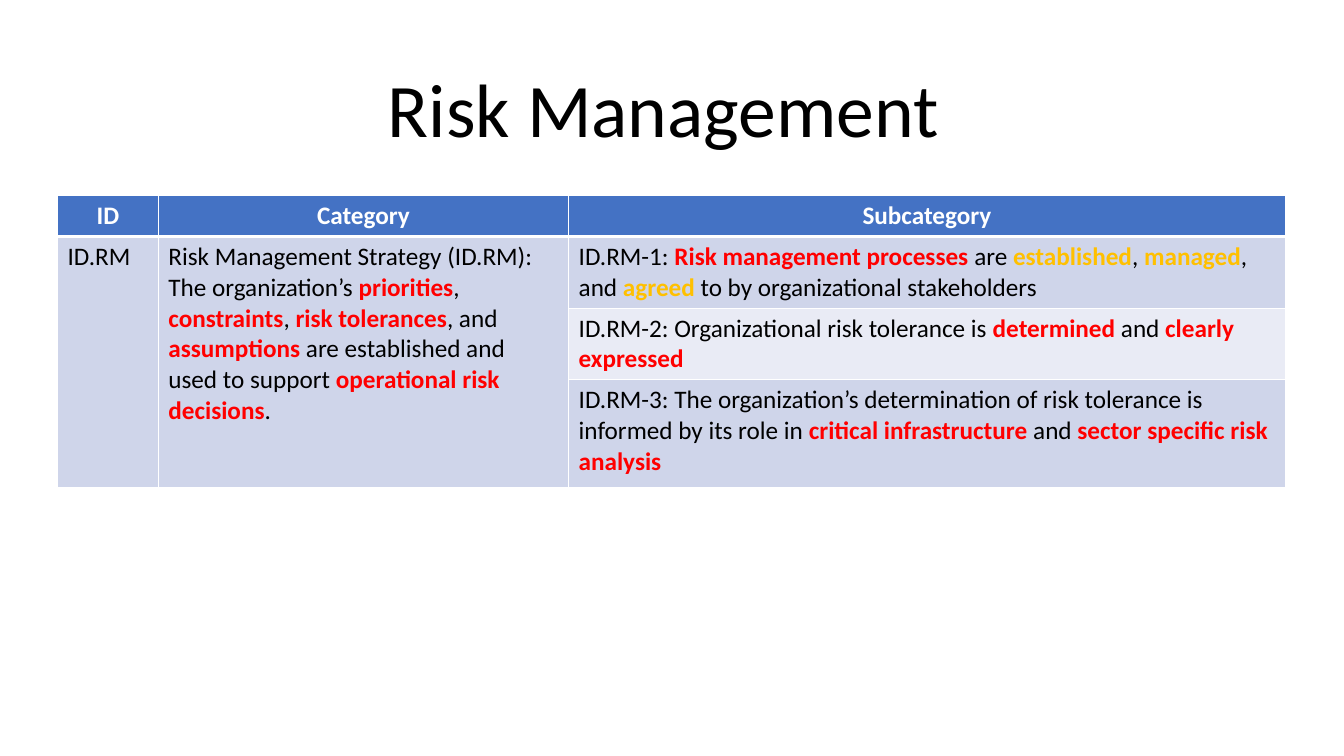
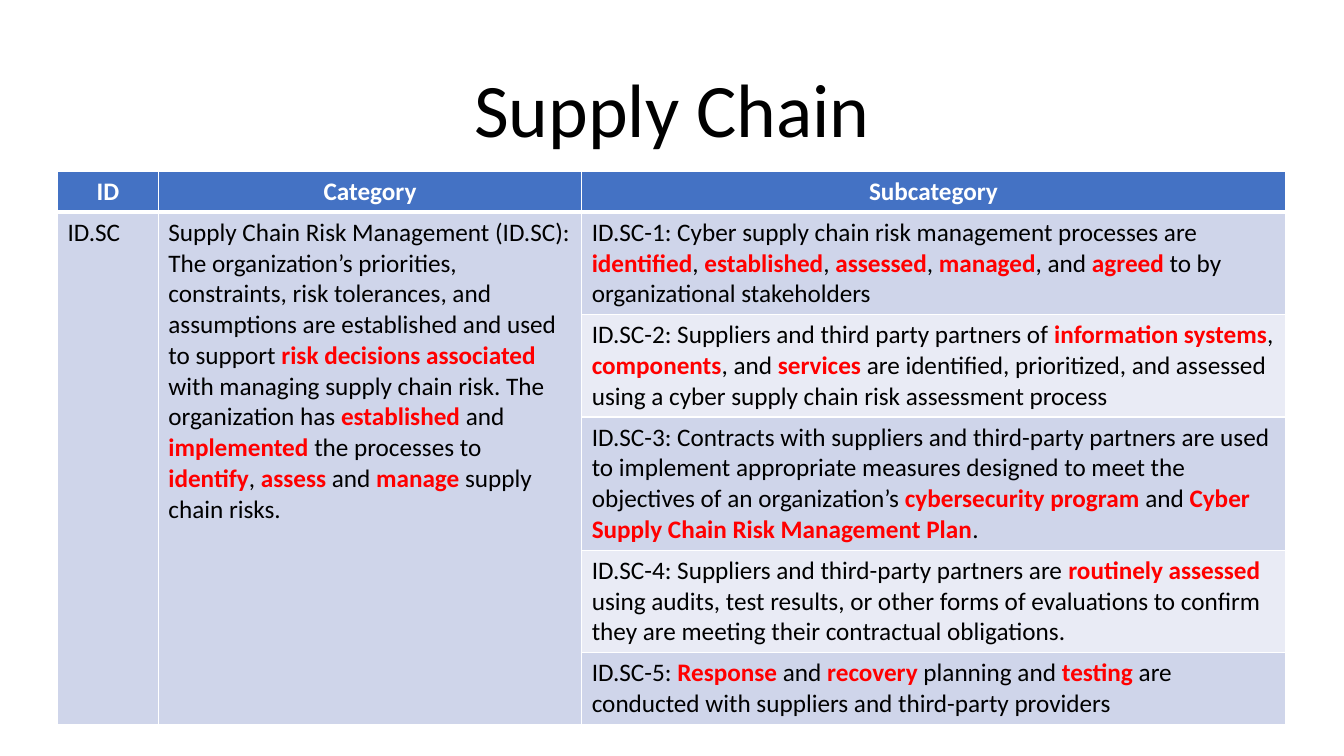
from lxml import etree
from pptx import Presentation
from pptx.dml.color import RGBColor
from pptx.enum.text import MSO_ANCHOR, PP_ALIGN
from pptx.oxml.ns import qn
from pptx.util import Cm, Pt

CENTER, LEFT = PP_ALIGN.CENTER, PP_ALIGN.LEFT
MIDDLE = MSO_ANCHOR.MIDDLE
FONT = "Calibri"
COLORS = {
    "text": "000000", "white": "FFFFFF", "header": "4472C4",
    "band_dark": "CFD5EA", "band_light": "E9EBF5",
    "red": "FF0000", "amber": "FFC000",
}
HEADERS = ["ID", "Category", "Subcategory"]
HEADER_HEIGHT = 1.03
TABLE_LEFT = 1.45

# *...* marks red emphasis, *~...* amber emphasis
SLIDES = [
    {
        "title": "Risk Management ",
        "top": 4.93,
        "columns": [2.54, 10.34, 18.06],
        "id": "ID.RM",
        "category": [
            "Risk Management Strategy (ID.RM): The organization’s *priorities*, "
            "*constraints*, *risk tolerances*, and *assumptions* are established "
            "and used to support *operational risk decisions*.",
        ],
        "subcategories": [
            (1.8, "ID.RM-1: *Risk management processes *are *~established*, "
                  "*~managed*, and *~agreed* to by organizational stakeholders"),
            (1.8, "ID.RM-2: Organizational risk tolerance is *determined* and "
                  "*clearly expressed*"),
            (2.72, "ID.RM-3: The organization’s determination of risk tolerance is "
                   "informed by its role in *critical infrastructure *and "
                   "*sector specific risk analysis*"),
        ],
    },
    {
        "title": "Supply Chain",
        "top": 4.32,
        "columns": [2.54, 10.67, 17.73],
        "id": "ID.SC",
        "category": [
            "Supply Chain Risk Management (ID.SC):",
            "The organization’s priorities, constraints, risk tolerances, and "
            "assumptions are established and used to support *risk decisions "
            "associated *with managing supply chain risk. The organization has "
            "*established* and *implemented* the processes to *identify*, *assess* "
            "and *manage* supply chain risks.",
        ],
        "subcategories": [
            (2.58, "ID.SC-1: Cyber supply chain risk management processes are "
                   "*identified*, *established*, *assessed*, *managed*, and *agreed* "
                   "to by organizational stakeholders"),
            (2.58, "ID.SC-2: Suppliers and third party partners of *information "
                   "systems*, *components*, and *services* are identified, "
                   "prioritized, and assessed using a cyber supply chain risk "
                   "assessment process"),
            (3.35, "ID.SC-3: Contracts with suppliers and third-party partners are "
                   "used to implement appropriate measures designed to meet the "
                   "objectives of an organization’s *cybersecurity program *and "
                   "*Cyber Supply Chain Risk Management Plan*."),
            (2.58, "ID.SC-4: Suppliers and third-party partners are *routinely "
                   "assessed *using audits, test results, or other forms of "
                   "evaluations to confirm they are meeting their contractual "
                   "obligations."),
            (1.8, "ID.SC-5: *Response* and *recovery* planning and *testing* are "
                  "conducted with suppliers and third-party providers"),
        ],
    },
]


def rgb(name):
    return RGBColor.from_string(COLORS[name])


def add_run(p, text, size, color, bold=False):
    r = p.add_run()
    r.text = text
    r.font.name, r.font.size, r.font.bold = FONT, Pt(size), bold
    r.font.color.rgb = rgb(color)


def add_marked_text(p, text, color, bold):
    for i, part in enumerate(text.split("*")):
        if not part:
            continue
        if i % 2:
            add_run(p, part.lstrip("~"), 18, "amber" if part[0] == "~" else "red", True)
        else:
            add_run(p, part, 18, color, bold)


def set_borders(cell, top, bottom):
    tcPr = cell._tc.get_or_add_tcPr()
    widths = {"lnL": 1, "lnR": 1, "lnT": top, "lnB": bottom}
    for i, (tag, width) in enumerate(widths.items()):
        ln = etree.Element(qn(f"a:{tag}"), w=str(Pt(width)))
        fill = etree.SubElement(ln, qn("a:solidFill"))
        etree.SubElement(fill, qn("a:srgbClr"), val=COLORS["white"])
        tcPr.insert(i, ln)


def fill_cell(cell, paragraphs, color="text", bold=False, align=LEFT):
    tf = cell.text_frame
    for i, text in enumerate(paragraphs):
        p = tf.paragraphs[0] if i == 0 else tf.add_paragraph()
        p.alignment = align
        add_marked_text(p, text, color, bold)


def style_cell(cell, row, column):
    if row == 0:
        fill = "header"
    else:
        fill = "band_light" if column == 2 and row % 2 == 0 else "band_dark"
    cell.fill.solid()
    cell.fill.fore_color.rgb = rgb(fill)
    set_borders(cell, 3 if row == 1 else 1, 3 if row == 0 else 1)


def add_title(s, text):
    title = s.shapes.title
    title.left, title.top, title.width, title.height = Cm(2.33), Cm(1.01), Cm(29.21), Cm(3.68)
    tf = title.text_frame
    tf.vertical_anchor = MIDDLE
    p = tf.paragraphs[0]
    p.alignment, p.line_spacing = CENTER, 0.9
    add_run(p, text, 54, "text")


def add_category_table(s, data):
    heights = [HEADER_HEIGHT] + [h for h, _ in data["subcategories"]]
    last = len(heights) - 1
    table = s.shapes.add_table(
        len(heights), len(HEADERS), Cm(TABLE_LEFT), Cm(data["top"]),
        Cm(sum(data["columns"])), Cm(sum(heights))).table
    for column, width in zip(table.columns, data["columns"]):
        column.width = Cm(width)
    for i, height in enumerate(heights):
        table.rows[i].height = Cm(height)
        for j in range(len(HEADERS)):
            style_cell(table.cell(i, j), i, j)
    for j, header in enumerate(HEADERS):
        fill_cell(table.cell(0, j), [header], "white", True, CENTER)
    for j, paragraphs in enumerate([[data["id"]], data["category"]]):
        table.cell(1, j).merge(table.cell(last, j))
        fill_cell(table.cell(1, j), paragraphs)
    for i, (_, text) in enumerate(data["subcategories"], 1):
        fill_cell(table.cell(i, 2), [text])


def main():
    prs = Presentation()
    prs.slide_width, prs.slide_height = Cm(33.87), Cm(19.05)
    for data in SLIDES:
        s = prs.slides.add_slide(prs.slide_layouts[5])
        add_title(s, data["title"])
        add_category_table(s, data)
    prs.save("out.pptx")


if __name__ == "__main__":
    main()
